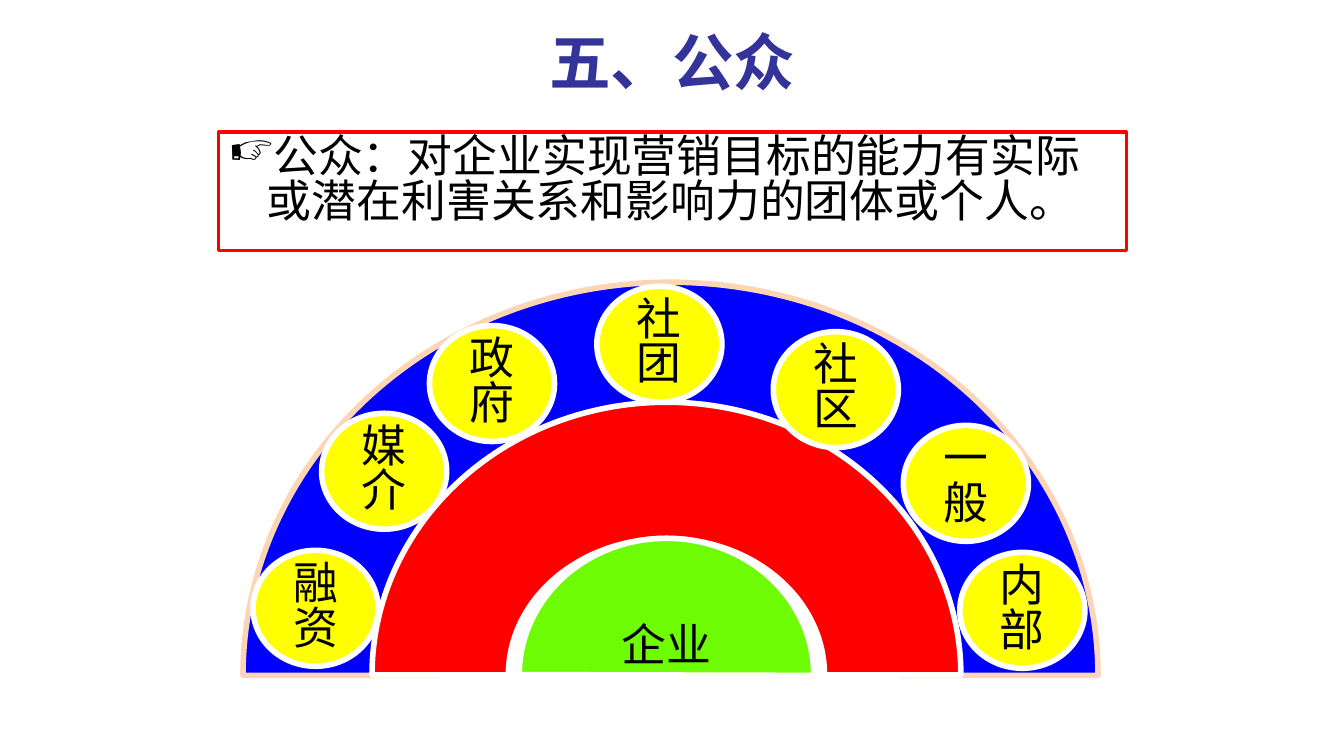
from lxml import etree
from pptx import Presentation
from pptx.dml.color import RGBColor
from pptx.enum import shapes, text
from pptx.oxml.ns import qn
from pptx.util import Inches, Pt

BODY_FONT = "Noto Sans CJK SC"
TITLE_FONT = "Noto Sans CJK JP"
CIRCLES = [
    ("融资", 2.51, 5.46),
    ("内部", 9.52, 5.48),
    ("媒介", 3.19, 4.10),
    ("政府", 4.26, 3.23),
    ("社团", 5.92, 2.84),
    ("社区", 7.67, 3.29),
    ("一般", 8.96, 4.22),
]


def rgb(color):
    return RGBColor.from_string(color)


def style_para(para, size, color, name, bold=False):
    font = para.font
    font.size, font.bold, font.name = Pt(size), bold, name
    font.color.rgb = rgb(color)
    defaults = para._p.pPr.find(qn("a:defRPr"))
    etree.SubElement(defaults, qn("a:ea")).set("typeface", name)


def add_title(page, words):
    title = page.shapes.title
    title.left, title.top = Inches(0.67), Inches(0.13)
    title.width, title.height = Inches(12), Inches(0.95)
    title.text_frame.vertical_anchor = text.MSO_ANCHOR.MIDDLE
    para = title.text_frame.paragraphs[0]
    para.text = words
    para.alignment = text.PP_ALIGN.CENTER
    style_para(para, 44, "333399", TITLE_FONT, bold=True)


def add_figure(page, kind, left, top, width, height, fill, line, weight=4):
    figure = page.shapes.add_shape(
        kind, Inches(left), Inches(top), Inches(width), Inches(height))
    figure.shadow.inherit = False
    if fill:
        figure.fill.solid()
        figure.fill.fore_color.rgb = rgb(fill)
    else:
        figure.fill.background()
    figure.line.color.rgb = rgb(line)
    figure.line.width = Pt(weight)
    return figure


def write_text(figure, words, align=text.PP_ALIGN.CENTER):
    para = figure.text_frame.paragraphs[0]
    para.text = words
    para.alignment = align
    para.line_spacing = 0.83
    style_para(para, 32, "000000", BODY_FONT)
    return para


def add_definition(page, words):
    box = add_figure(page, shapes.MSO_SHAPE.RECTANGLE, 2.17, 1.31, 9, 1.18,
                     None, "FF0000", 2.25)
    box.text_frame.vertical_anchor = text.MSO_ANCHOR.TOP
    para = box.text_frame.paragraphs[0]
    props = para._p.get_or_add_pPr()
    props.set("marL", str(Inches(0.38)))
    props.set("indent", str(-Inches(0.38)))
    write_text(box, words, text.PP_ALIGN.LEFT)
    bullet = etree.Element(qn("a:buChar"), char="☞")
    props.find(qn("a:defRPr")).addprevious(bullet)


def add_company(page, words):
    chord = add_figure(page, shapes.MSO_SHAPE.CHORD, 5.15, 5.34, 2.92, 2.71,
                       "6EFC04", "FFFFFF")
    chord.adjustments[0] = 108.056
    chord.adjustments[1] = 0.129
    chord.text_frame.margin_bottom = Inches(0.58)
    write_text(chord, words)


def main():
    deck = Presentation()
    deck.slide_width, deck.slide_height = Inches(13.33), Inches(7.5)
    page = deck.slides.add_slide(deck.slide_layouts[5])
    add_title(page, "五、公众")
    add_definition(page, "公众：对企业实现营销目标的能力有实际或潜在利害关系和影响力的团体或个人。")
    arc = shapes.MSO_SHAPE.BLOCK_ARC
    add_figure(page, arc, 2.41, 2.8, 8.48, 7.8, "0000FF", "FCD5B5")
    add_figure(page, arc, 3.69, 3.99, 5.84, 5.41, "FF0000", "FFFFFF")
    add_company(page, "企业")
    for words, left, top in CIRCLES:
        circle = add_figure(page, shapes.MSO_SHAPE.OVAL, left, top, 1.24, 1.15,
                            "FFFF00", "FFFFFF")
        write_text(circle, words)
    deck.save("out.pptx")


if __name__ == "__main__":
    main()
